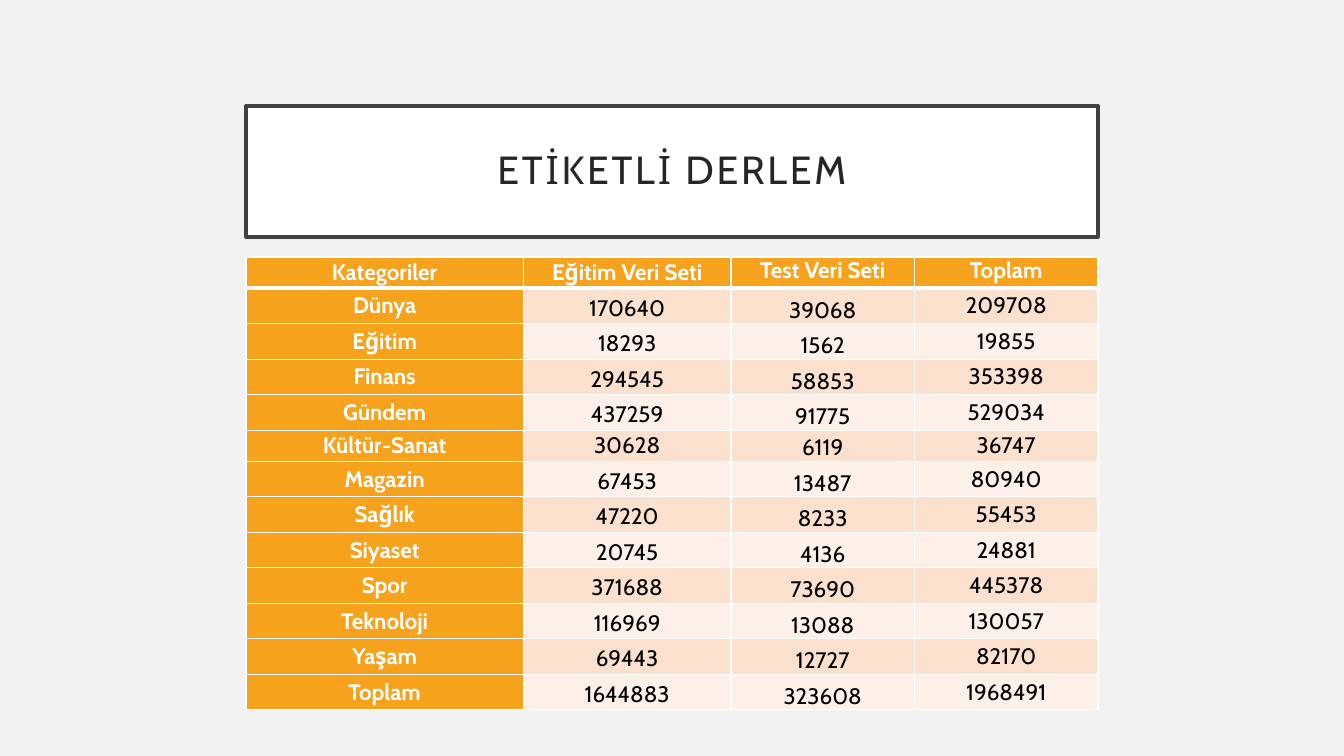
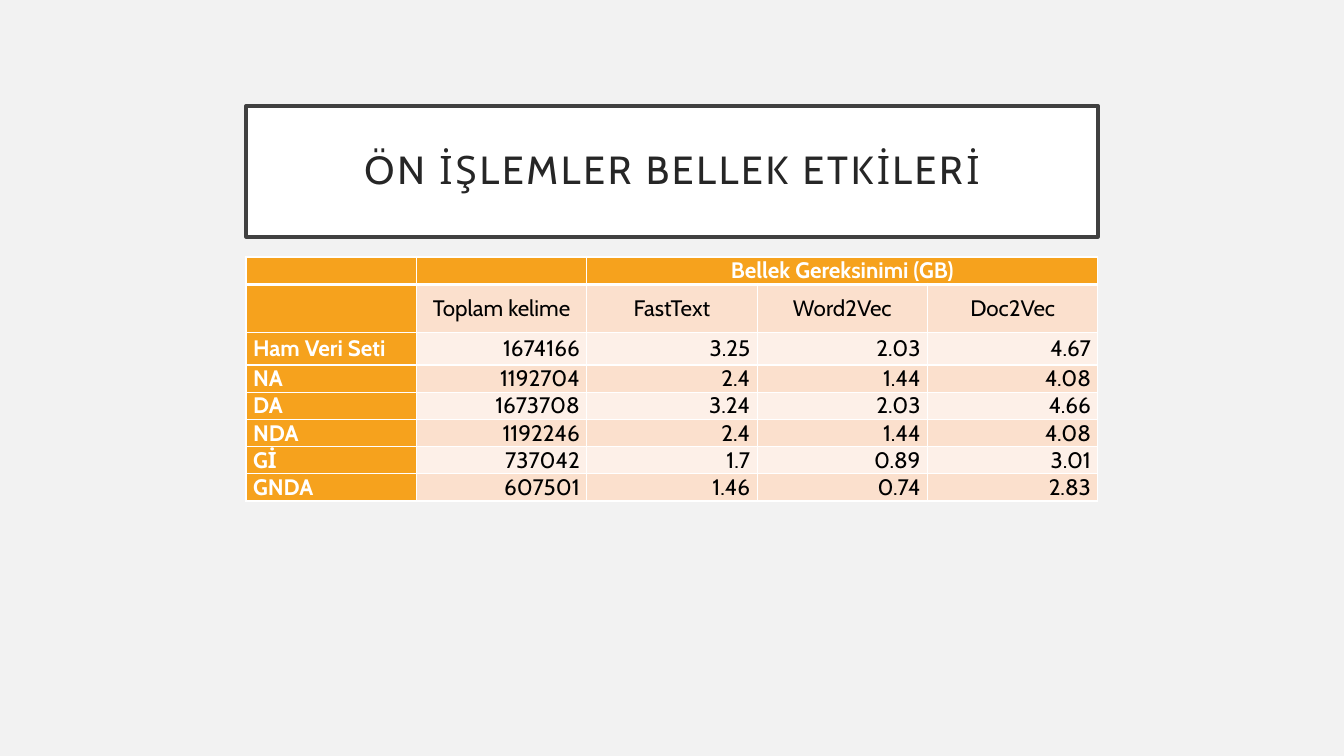
from dataclasses import dataclass

from lxml import etree
from pptx import Presentation
from pptx import slide as sl
from pptx import table as tb
from pptx import util as u
from pptx.dml import color
from pptx.enum import text as t
from pptx.oxml import ns
from pptx.text import text as tx

# Shared look
FONT = "Cabin"
COLORS = {
    "page": "F2F2F2", "white": "FFFFFF", "frame": "404040", "title": "262626",
    "black": "000000", "accent": "F6A21D", "odd": "FBE0CD", "even": "FDF0E8",
}
LEFT, WIDTH = 2.44, 8.45
TOP, MID, LOW = t.MSO_ANCHOR.TOP, t.MSO_ANCHOR.MIDDLE, t.MSO_ANCHOR.BOTTOM
START, CENTER, END = t.PP_ALIGN.LEFT, t.PP_ALIGN.CENTER, t.PP_ALIGN.RIGHT


@dataclass
class Column:
    width: float
    align: t.PP_ALIGN = CENTER
    anchor: t.MSO_ANCHOR = MID
    head: t.MSO_ANCHOR = MID
    pad_x: float = 0
    pad_y: float = 0


@dataclass
class Grid:
    title: str
    top: float
    columns: list[Column]
    heights: list[float]
    rows: list[list[str]]
    heads: int = 1  # leading rows with centred text
    merge: tuple[int, int] | None = None  # first and last merged head column


def paint(name: str) -> color.RGBColor:
    return color.RGBColor.from_string(COLORS[name])


def write(frame: tx.TextFrame, words: str, *, size: float = 16, shade: str = "black",
          bold: bool = False, align: t.PP_ALIGN = CENTER,
          lead: float | None = None, track: float = 0) -> None:
    para = frame.paragraphs[0]
    para.alignment = align
    if lead:
        para.line_spacing = lead
    if not words:
        para._p.get_or_add_endParaRPr().set("sz", str(int(size * 100)))
        return
    run = para.add_run()
    run.text = words
    run.font.name, run.font.size, run.font.bold = FONT, u.Pt(size), bold
    run.font.color.rgb = paint(shade)
    if track:
        run.font._element.set("spc", str(int(track * 100)))


def edge(cell: tb._Cell, side: str, points: float) -> None:
    props = cell._tc.get_or_add_tcPr()
    line = etree.SubElement(props, ns.qn(f"a:ln{side}"), w=str(u.Pt(points)))
    fill = etree.SubElement(line, ns.qn("a:solidFill"))
    etree.SubElement(fill, ns.qn("a:srgbClr"), val=COLORS["white"])


def add_title(page: sl.Slide, words: str) -> None:
    box = page.shapes.title
    box.left, box.top = u.Inches(LEFT), u.Inches(1.05)
    box.width, box.height = u.Inches(WIDTH), u.Inches(1.3)
    box.fill.solid()
    box.fill.fore_color.rgb = paint("white")
    box.line.color.rgb = paint("frame")
    box.line.width = u.Pt(2.5)
    frame = box.text_frame
    frame.word_wrap, frame.auto_size = True, t.MSO_AUTO_SIZE.NONE
    frame.vertical_anchor = MID
    frame.margin_left = frame.margin_right = u.Inches(0.2)
    frame.margin_top = frame.margin_bottom = u.Inches(0.2)
    write(frame, words, size=28, shade="title", lead=0.9, track=2)


def fill_cell(cell: tb._Cell, words: str, row: int, col: int, grid: Grid) -> None:
    rule = grid.columns[col]
    label = row == 0 or col == 0
    cell.margin_left = cell.margin_right = u.Inches(rule.pad_x)
    cell.margin_top = cell.margin_bottom = u.Inches(rule.pad_y)
    cell.vertical_anchor = rule.head if row == 0 else rule.anchor
    # Heavy rule between the header and the body
    for side, points in (("L", 1), ("R", 1), ("T", 3 if row == 1 else 1),
                         ("B", 3 if row == 0 else 1)):
        edge(cell, side, points)
    cell.fill.solid()
    cell.fill.fore_color.rgb = paint("accent" if label else "odd" if row % 2 else "even")
    write(cell.text_frame, words, shade="white" if label else "black", bold=label,
          align=CENTER if row < grid.heads else rule.align)


def add_grid(page: sl.Slide, grid: Grid) -> None:
    table = page.shapes.add_table(
        len(grid.rows), len(grid.columns), u.Inches(LEFT), u.Inches(grid.top),
        u.Inches(WIDTH), u.Inches(sum(grid.heights))).table
    table.first_row = table.horz_banding = False
    for col, rule in enumerate(grid.columns):
        table.columns[col].width = u.Inches(rule.width)
    for row, (height, items) in enumerate(zip(grid.heights, grid.rows)):
        table.rows[row].height = u.Inches(height)
        for col, words in enumerate(items):
            fill_cell(table.cell(row, col), words, row, col, grid)
    if grid.merge:
        first, last = grid.merge
        table.cell(0, first).merge(table.cell(0, last))


# Slide 1: labelled corpus
SHORT, TALL = 0.3, (4.48 - 2 * 0.3) / 11
CORPUS = Grid(
    title="ETİKETLİ DERLEM",
    top=2.55,
    columns=[
        Column(2.75, head=LOW, pad_x=0.03, pad_y=0.02),
        Column(2.06, anchor=LOW, head=LOW, pad_x=0.03, pad_y=0.02),
        Column(1.82, anchor=LOW, head=TOP),
        Column(1.82, head=TOP),
    ],
    heights=[SHORT] + [TALL] * 4 + [SHORT] + [TALL] * 7,
    rows=[
        ["Kategoriler", "Eğitim Veri Seti", "Test Veri Seti", "Toplam"],
        ["Dünya", "170640", "39068", "209708"],
        ["Eğitim", "18293", "1562", "19855"],
        ["Finans", "294545", "58853", "353398"],
        ["Gündem", "437259", "91775", "529034"],
        ["Kültür-Sanat", "30628", "6119", "36747"],
        ["Magazin", "67453", "13487", "80940"],
        ["Sağlık", "47220", "8233", "55453"],
        ["Siyaset", "20745", "4136", "24881"],
        ["Spor", "371688", "73690", "445378"],
        ["Teknoloji", "116969", "13088", "130057"],
        ["Yaşam", "69443", "12727", "82170"],
        ["Toplam", "1644883", "323608", "1968491"],
    ],
)

# Slide 2: memory needs
MEMORY = Grid(
    title="ÖN İŞLEMLER BELLEK ETKİLERİ",
    top=2.55,
    columns=[Column(WIDTH / 5, align=START if col == 0 else END, pad_x=0.07)
             for col in range(5)],
    heights=[0.27, 0.48, 0.32] + [0.27] * 5,
    rows=[
        ["", "", "Bellek Gereksinimi (GB)", "", ""],
        ["", "Toplam kelime", "FastText", "Word2Vec", "Doc2Vec"],
        ["Ham Veri Seti", "1674166", "3.25", "2.03", "4.67"],
        ["NA", "1192704", "2.4", "1.44", "4.08"],
        ["DA", "1673708", "3.24", "2.03", "4.66"],
        ["NDA", "1192246", "2.4", "1.44", "4.08"],
        ["Gİ", "737042", "1.7", "0.89", "3.01"],
        ["GNDA", "607501", "1.46", "0.74", "2.83"],
    ],
    heads=2,
    merge=(2, 4),
)


def main() -> None:
    deck = Presentation()
    deck.slide_width, deck.slide_height = u.Inches(13.33), u.Inches(7.5)
    back = deck.slide_master.background.fill
    back.solid()
    back.fore_color.rgb = paint("page")
    for grid in (CORPUS, MEMORY):
        page = deck.slides.add_slide(deck.slide_layouts[5])
        add_title(page, grid.title)
        add_grid(page, grid)
    deck.save("out.pptx")


if __name__ == "__main__":
    main()
